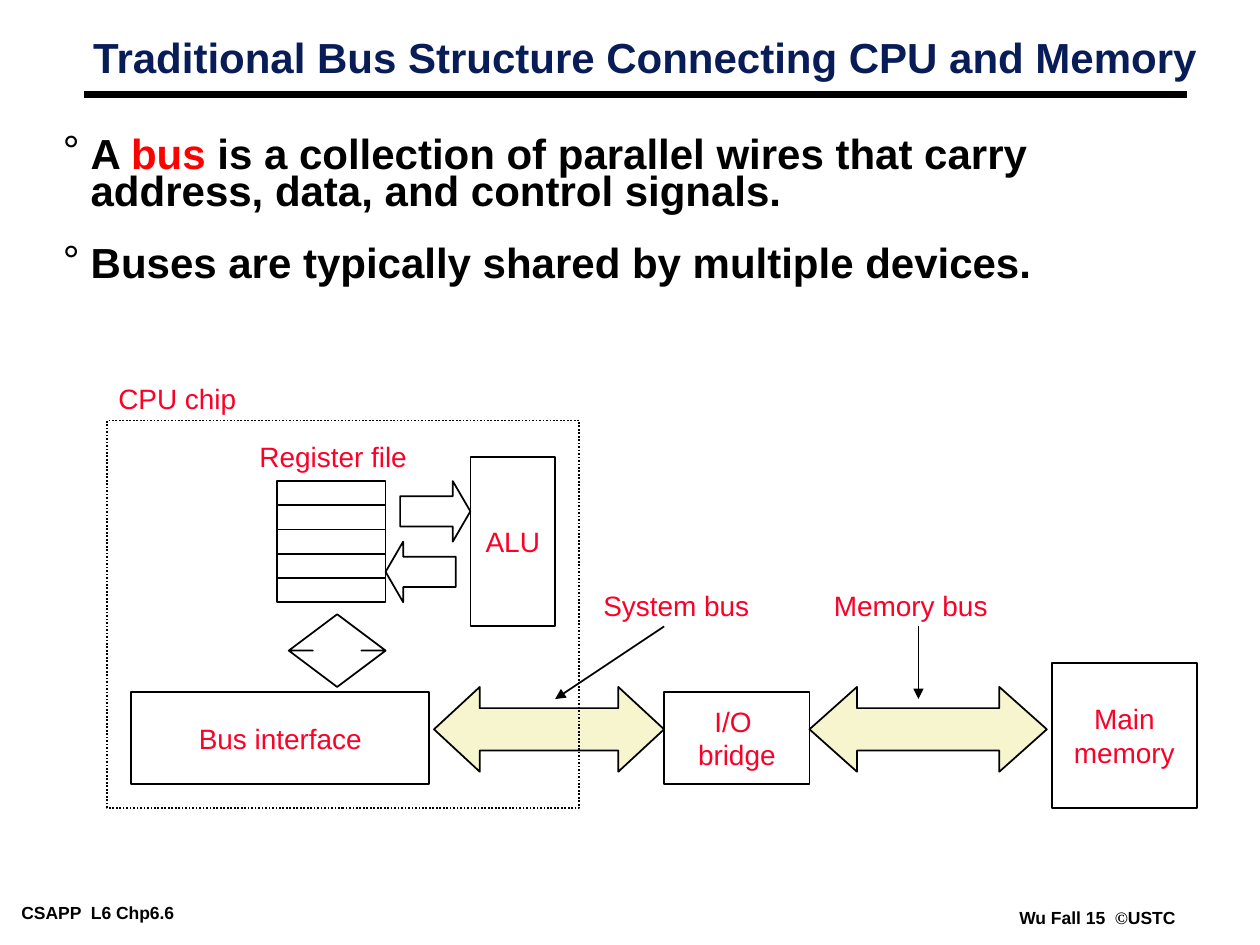
from lxml import etree
from pptx import Presentation, util as u
from pptx.dml.color import RGBColor
from pptx.enum import dml, shapes, text
from pptx.oxml.ns import qn

hue = RGBColor.from_string
kind = shapes.MSO_SHAPE
BLACK, RED, NAVY, CREAM = "000000", "FC0128", "081D58", "F7F5CD"

deck = Presentation()
deck.slide_width, deck.slide_height = u.Inches(10), u.Inches(7.5)
W, H = deck.slide_width, deck.slide_height
slide = deck.slides.add_slide(deck.slide_layouts[6])
parts = slide.shapes

# The diagram grid starts at the chip's corner: 45 columns reach the memory's right edge.
LEFT, TOP = 0.085 * W, 0.445 * H
CELL = 0.865 * W / 45


def grid(col, row, wide, high):
    """Turn columns and rows into left, top, width and height."""
    return [round(n) for n in
            (LEFT + col * CELL, TOP + row * CELL, wide * CELL, high * CELL)]


def write(frame, lines, size, bold=False, pad=(0.1, 0.05), wrap=False):
    """Fill a frame; each line is a list of (text, colour, font) runs."""
    frame.word_wrap = wrap
    frame.margin_left = frame.margin_right = u.Inches(pad[0])
    frame.margin_top = frame.margin_bottom = u.Inches(pad[1])
    for i, line in enumerate(lines):
        para = frame.paragraphs[0] if i == 0 else frame.add_paragraph()
        for words, color, face in line:
            run = para.add_run()
            run.text = words
            run.font.size, run.font.bold, run.font.name = u.Pt(size), bold, face
            run.font.color.rgb = hue(color)


# Footers, title and bullets, placed by shares of the slide
frames = [
    ((0.01, 0.951, 0.195, 0.029), 10,
     [[("CSAPP  L6 Chp6.6", BLACK, "Arial")]]),
    ((0.802, 0.956, 0.138, 0.029), 10,
     [[("Wu Fall 15  ", BLACK, "Arial"), ("©", BLACK, "Times New Roman"),
       ("USTC", BLACK, "Arial")]]),
    ((0.067, 0.037, 0.9, 0.055), 24,
     [[("Traditional Bus Structure Connecting CPU and Memory", NAVY, "Arial")]]),
    ((0.043, 0.143, 0.864, 0.725), 24,
     [[("A ", BLACK, "Arial"), ("bus", "FF0000", "Arial"),
       (" is a collection of parallel wires that carry address, data, "
        "and control signals.", BLACK, "Arial")],
      [("Buses are typically shared by multiple devices.", BLACK, "Arial")]]),
]
bodies = []
for (x, y, wide, high), size, lines in frames:
    box = parts.add_textbox(round(x * W), round(y * H), round(wide * W), round(high * H))
    write(box.text_frame, lines, size, True, (0.07, 0.03), size > 10)
    bodies.append(box.text_frame)

title, body = bodies[2:]
title.paragraphs[0].line_spacing = 0.87
for i, para in enumerate(body.paragraphs):
    para.line_spacing = 0.75
    if i:
        para.space_before = u.Pt(19.5)
    props = para._p.get_or_add_pPr()
    props.set("marL", str(u.Inches(0.22)))
    props.set("indent", str(-u.Inches(0.22)))
    tint = etree.SubElement(props, qn("a:buClr"))
    etree.SubElement(tint, qn("a:srgbClr"), val=BLACK)
    etree.SubElement(props, qn("a:buFont"), typeface="Arial")
    etree.SubElement(props, qn("a:buChar"), char="°")

# Blocks of the diagram, back to front: shape, cells, fill, adjustments, text lines
blocks = [
    (kind.RECTANGLE, (39, 10, 6, 6), None, [], ["Main", "memory"]),
    (kind.LEFT_RIGHT_ARROW, (29, 11, 9.8, 3.5), CREAM, [0.5, 0.56], []),
    (kind.RECTANGLE, (23, 11.2, 6, 3.8), None, [], ["I/O ", "bridge"]),
    (kind.LEFT_RIGHT_ARROW, (13.5, 11, 9.5, 3.5), CREAM, [0.5, 0.54], []),
    (kind.RECTANGLE, (1, 11.2, 12.3, 3.8), None, [], ["Bus interface"]),
    *[(kind.RECTANGLE, (7, 2.5 + i, 4.5, 1), None, [], []) for i in range(5)],
    (kind.RIGHT_ARROW, (12.1, 2.5, 2.9, 2.5), None, [0.5, 0.29], []),
    (kind.LEFT_ARROW, (11.5, 5, 2.9, 2.5), None, [0.5, 0.29], []),
    (kind.RECTANGLE, (15, 1.5, 3.5, 7), None, [], ["ALU"]),
    # The up-down arrow takes its head length first, then its shaft width
    (kind.UP_DOWN_ARROW, (7.5, 8, 4, 3), None, [0.2, 0.5], []),
    (kind.RECTANGLE, (0, 0, 19.5, 16), None, [], []),
]
for form, cells, fill, turns, lines in blocks:
    block = parts.add_shape(form, *grid(*cells))
    block.shadow.inherit = False
    block.line.color.rgb, block.line.width = hue(BLACK), u.Pt(1)
    if fill:
        block.fill.solid()
        block.fill.fore_color.rgb = hue(fill)
    else:
        block.fill.background()
    for i, turn in enumerate(turns):
        block.adjustments[i] = turn
    if lines:
        frame = block.text_frame
        write(frame, [[(line, RED, "Arial")] for line in lines], 16)
        frame.vertical_anchor = text.MSO_ANCHOR.MIDDLE
        for para in frame.paragraphs:
            para.alignment = text.PP_ALIGN.CENTER
chip = block
chip.line.dash_style = dml.MSO_LINE.ROUND_DOT

labels = [("Register file", 5.78, 0.52, 7.13), ("CPU chip", -0.05, -1.88, 6.5),
          ("System bus", 19.98, 6.66, 7.08), ("Memory bus", 29.5, 6.66, 7.39)]
for words, col, row, wide in labels:
    frame = parts.add_textbox(*grid(col, row, wide, 1.93)).text_frame
    write(frame, [[(words, RED, "Arial")]], 16, wrap=words == "CPU chip")
    frame.vertical_anchor = text.MSO_ANCHOR.MIDDLE
    frame.auto_size = text.MSO_AUTO_SIZE.SHAPE_TO_FIT_TEXT

# Title rule and the two pointers: start, end, width, arrowhead
rule = [round(n) for n in (0.067 * W, 0.1 * H, 0.942 * W, 0.1 * H)]
lines = [(rule, 4.5, False),
         (grid(23, 8.5, 0, 0)[:2] + grid(18.5, 11.5, 0, 0)[:2], 1, True),
         (grid(33.5, 8.5, 0, 0)[:2] + grid(33.5, 11.5, 0, 0)[:2], 1, True)]
for ends, thick, tip in lines:
    line = parts.add_connector(shapes.MSO_CONNECTOR.STRAIGHT, *ends)
    line.line.color.rgb, line.line.width = hue(BLACK), u.Pt(thick)
    if tip:
        etree.SubElement(line.line._get_or_add_ln(), qn("a:tailEnd"), type="triangle")
    etree.SubElement(line._element.spPr, qn("a:effectLst"))

deck.save("out.pptx")
